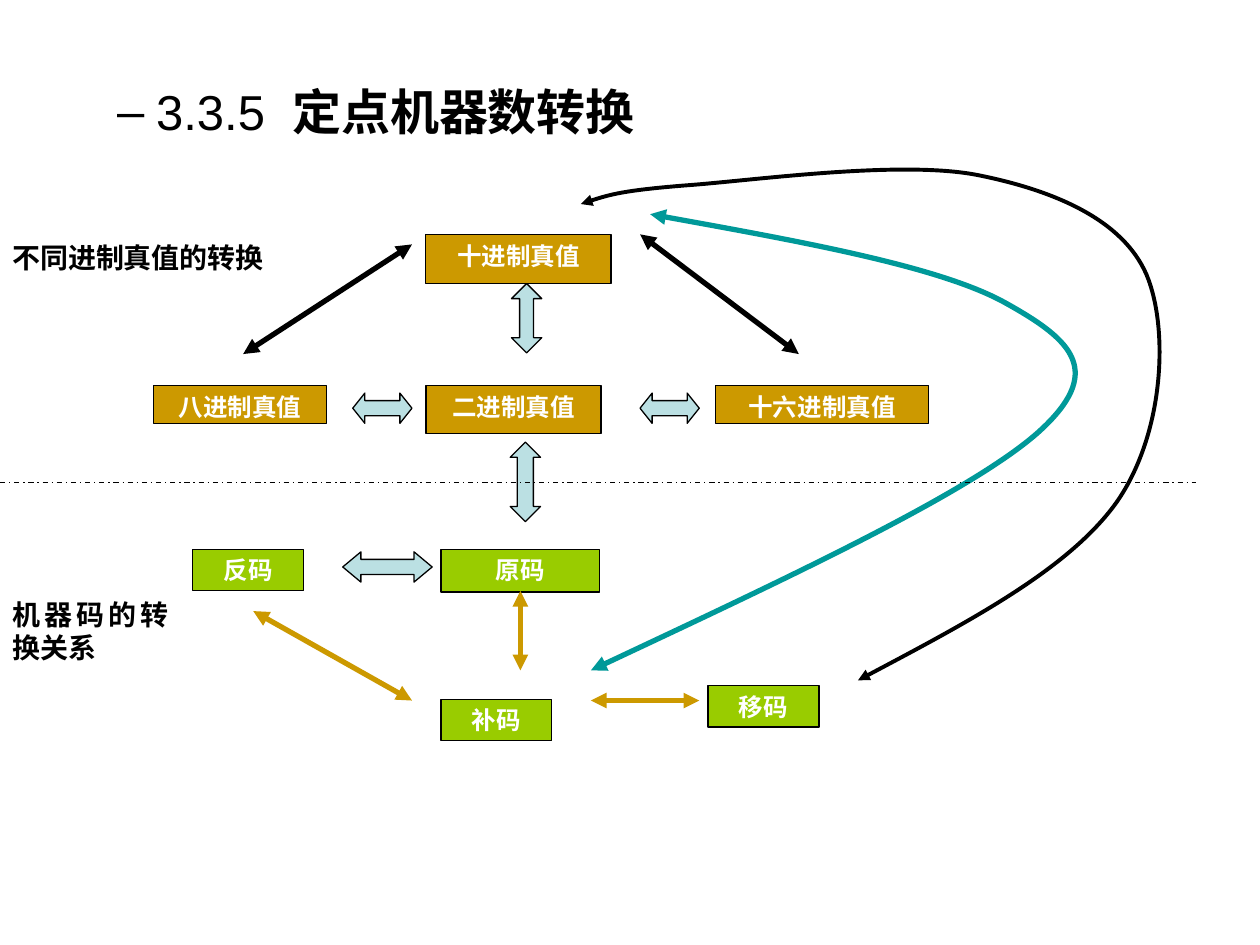
from pptx import Presentation
from pptx.dml.color import RGBColor
from pptx.enum.dml import MSO_LINE
from pptx.enum.shapes import MSO_CONNECTOR, MSO_SHAPE
from pptx.enum.text import MSO_ANCHOR, PP_ALIGN
from pptx.oxml.ns import qn
from pptx.util import Inches, Pt
from lxml import etree

RECT = MSO_SHAPE.RECTANGLE
TALL = MSO_SHAPE.UP_DOWN_ARROW
WIDE = MSO_SHAPE.LEFT_RIGHT_ARROW
STRAIGHT = MSO_CONNECTOR.STRAIGHT
DASH = MSO_LINE.DASH_DOT
TOP = MSO_ANCHOR.TOP
MID, FULL = PP_ALIGN.CENTER, PP_ALIGN.JUSTIFY


class Theme:
    black, white = "000000", "FFFFFF"
    gold, green, pale, teal = "CC9900", "99CC00", "BBE0E3", "009999"
    head, body = "Arial", "Times New Roman"
    title, label, node = 28, 16, 14
    thin, curve, bold = 0.75, 2.25, 3


WIDTH, HEIGHT = 10, 7.5
ROW = {"dec": 1.86, "bin": 3.06, "code": 4.36, "shift": 5.44, "comp": 5.55}
COL = {"mid": 3.38, "code": 3.5}

TITLE = [("3.3.5  ", False), ("定点机器数转换", True)]
NODES = [
    ("十进制真值", COL["mid"], ROW["dec"], 1.47, 0.39, Theme.gold),
    ("二进制真值", COL["mid"], ROW["bin"], 1.39, 0.38, Theme.gold),
    ("十六进制真值", 5.68, ROW["bin"], 1.69, 0.3, Theme.gold),
    ("八进制真值", 1.22, ROW["bin"], 1.37, 0.3, Theme.gold),
    ("原码", COL["code"], ROW["code"], 1.26, 0.34, Theme.green),
    ("补码", COL["code"], ROW["comp"], 0.88, 0.33, Theme.green),
    ("移码", 5.62, ROW["shift"], 0.88, 0.33, Theme.green),
    ("反码", 1.53, ROW["code"], 0.88, 0.33, Theme.green),
]
LABELS = [
    ("不同进制真值的转换", 0, ROW["dec"], 2.4, 0.78),
    ("机器码的转换关系", 0, 4.69, 1.44, 1.1),
]
BLOCKS = [
    (TALL, 4.06, 2.25, 0.24, 0.55, 0.46),
    (TALL, 4.05, 3.51, 0.24, 0.63, 0.53),
    (WIDE, 2.8, 3.12, 0.47, 0.24, 0.4),
    (WIDE, 5.08, 3.12, 0.47, 0.24, 0.4),
    (WIDE, 2.72, 4.38, 0.71, 0.24, 0.6),
]
LINKS = [
    ((5.08, 1.86), (6.34, 2.81), Theme.black),
    ((1.93, 2.81), (3.27, 1.94), Theme.black),
    ((2.01, 4.85), (3.27, 5.56), Theme.gold),
    ((4.69, 5.56), (5.55, 5.56), Theme.gold),
    ((4.13, 4.69), (4.13, 5.32), Theme.gold),
]
CURVES = [
    (Theme.teal, Theme.bold, [
        (5.16, 1.7), (6.32, 1.91), (7.48, 2.12), (7.99, 2.41), (8.51, 2.7),
        (8.78, 2.95), (8.23, 3.44), (7.68, 3.92), (6.18, 4.62), (4.69, 5.32)]),
    (Theme.black, Theme.curve, [
        (4.61, 1.62), (4.78, 1.56), (4.95, 1.51), (5.47, 1.47), (6, 1.43),
        (7.15, 1.27), (7.76, 1.39), (8.36, 1.51), (8.91, 1.74), (9.1, 2.18),
        (9.28, 2.61), (9.24, 3.45), (8.86, 3.99), (8.48, 4.52), (7.64, 4.96),
        (6.81, 5.4)]),
]
BORDER = ((0, 3.83), (9.49, 3.83))


def tint(color):
    return RGBColor.from_string(color)


def style(font, size, color, face, bold=None):
    font.size, font.name, font.bold = Pt(size), face, bold
    font.color.rgb = tint(color)


def stroke(line, color, width):
    line.color.rgb = tint(color)
    line.width = Pt(width)


def add_heads(shape):
    line = shape._element.spPr.find(qn("a:ln"))
    for end in ("a:headEnd", "a:tailEnd"):
        etree.SubElement(line, qn(end), type="triangle")


def add_box(shapes, kind, place, fill, edge=True):
    box = shapes.add_shape(kind, *map(Inches, place))
    box.shadow.inherit = False
    box.fill.solid()
    box.fill.fore_color.rgb = tint(fill)
    if edge:
        stroke(box.line, Theme.black, Theme.thin)
    else:
        box.line.fill.background()
    return box


def write(box, text, size, color, align):
    frame = box.text_frame
    frame.word_wrap, frame.vertical_anchor = True, TOP
    para = frame.paragraphs[0]
    para.text, para.alignment = text, align
    style(para.font, size, color, Theme.body, True)


def add_line(shapes, start, stop, color, width):
    line = shapes.add_connector(STRAIGHT, *map(Inches, start + stop))
    stroke(line.line, color, width)
    etree.SubElement(line._element.spPr, qn("a:effectLst"))
    return line


def add_curve(shapes, points, color, width):
    dots = [tuple(map(Inches, dot)) for dot in points]
    form = shapes.build_freeform(*dots[0])
    form.add_line_segments(dots[1:], close=False)
    curve = form.convert_to_shape()
    curve.shadow.inherit = False
    curve.fill.background()
    stroke(curve.line, color, width)
    legs = list(curve._element.iter(qn("a:lnTo")))
    route = legs[0].getparent()
    for first in range(0, len(legs), 3):
        bend = etree.SubElement(route, qn("a:cubicBezTo"))
        for leg in legs[first:first + 3]:
            bend.append(leg[0])
            route.remove(leg)
    add_heads(curve)


def add_title(slide):
    old = slide.shapes.title._element
    old.getparent().remove(old)
    body = slide.placeholders[1]
    body.left, body.top, body.width, body.height = map(
        Inches, (0.33, 0.6, 9.34, 5.82))
    body.text_frame.vertical_anchor = TOP
    para = body.text_frame.paragraphs[0]
    para.level, para.space_before = 1, Pt(0)
    props = para._p.get_or_add_pPr()
    props.set("marL", str(Inches(0.81)))
    props.set("indent", str(Inches(-0.31)))
    etree.SubElement(props, qn("a:buChar"), char="–")
    style(para.font, Theme.title, Theme.black, Theme.head)
    for text, bold in TITLE:
        run = para.add_run()
        run.text = text
        style(run.font, Theme.title, Theme.black, Theme.head, bold)


def main():
    deck = Presentation()
    deck.slide_width, deck.slide_height = Inches(WIDTH), Inches(HEIGHT)
    slide = deck.slides.add_slide(deck.slide_layouts[1])
    shapes = slide.shapes
    add_title(slide)
    for text, *place, fill in NODES:
        box = add_box(shapes, RECT, place, fill)
        write(box, text, Theme.node, Theme.white, MID)
    for text, *place in LABELS:
        box = add_box(shapes, RECT, place, Theme.white, edge=False)
        write(box, text, Theme.label, Theme.black, FULL)
    for kind, *place, tip in BLOCKS:
        arrow = add_box(shapes, kind, place, Theme.pale)
        arrow.adjustments[0], arrow.adjustments[1] = 0.5, tip
    for start, stop, color in LINKS:
        add_heads(add_line(shapes, start, stop, color, Theme.bold))
    for color, width, points in CURVES:
        add_curve(shapes, points, color, width)
    border = add_line(shapes, *BORDER, Theme.black, Theme.thin)
    border.line.dash_style = DASH
    deck.save("out.pptx")


if __name__ == "__main__":
    main()
